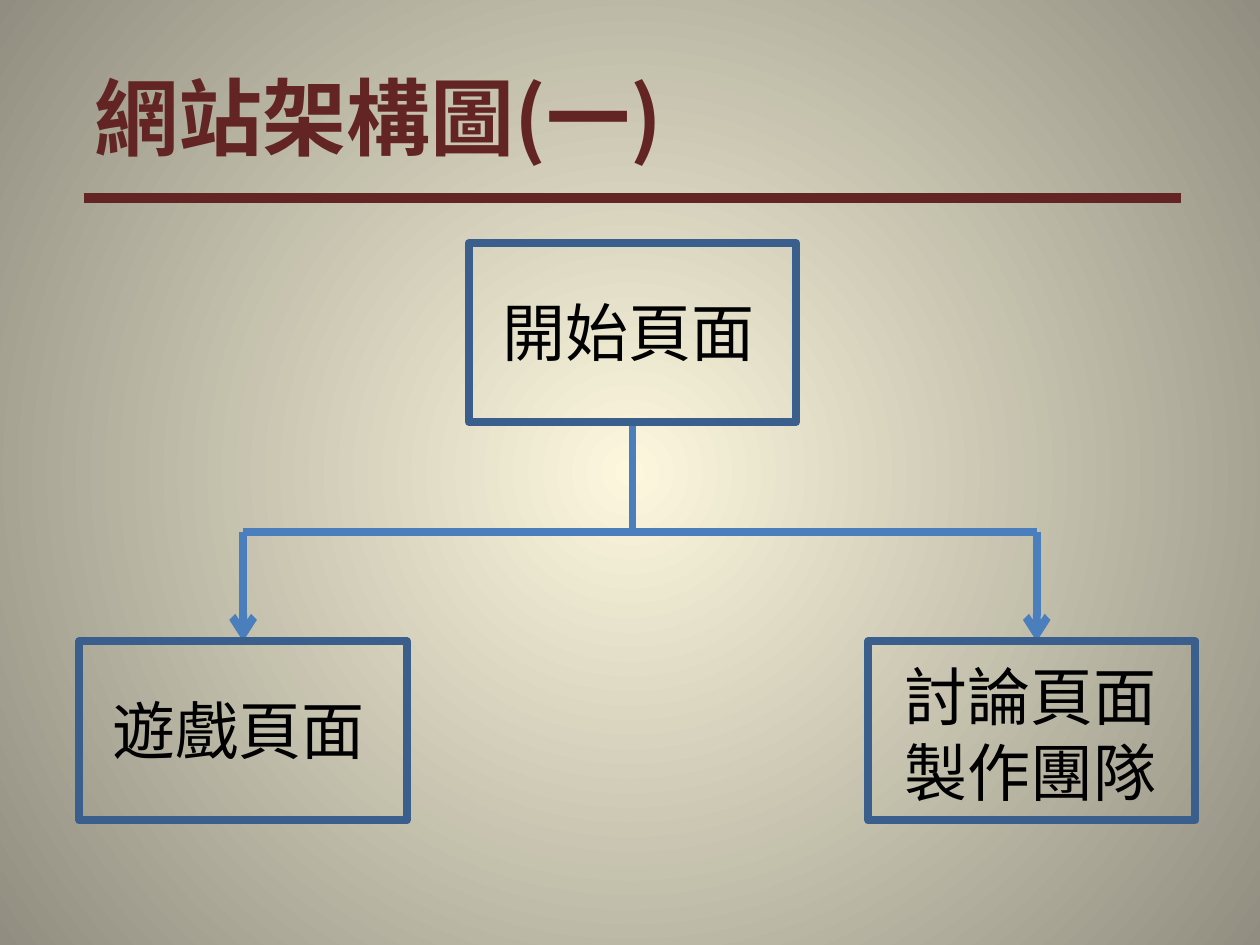
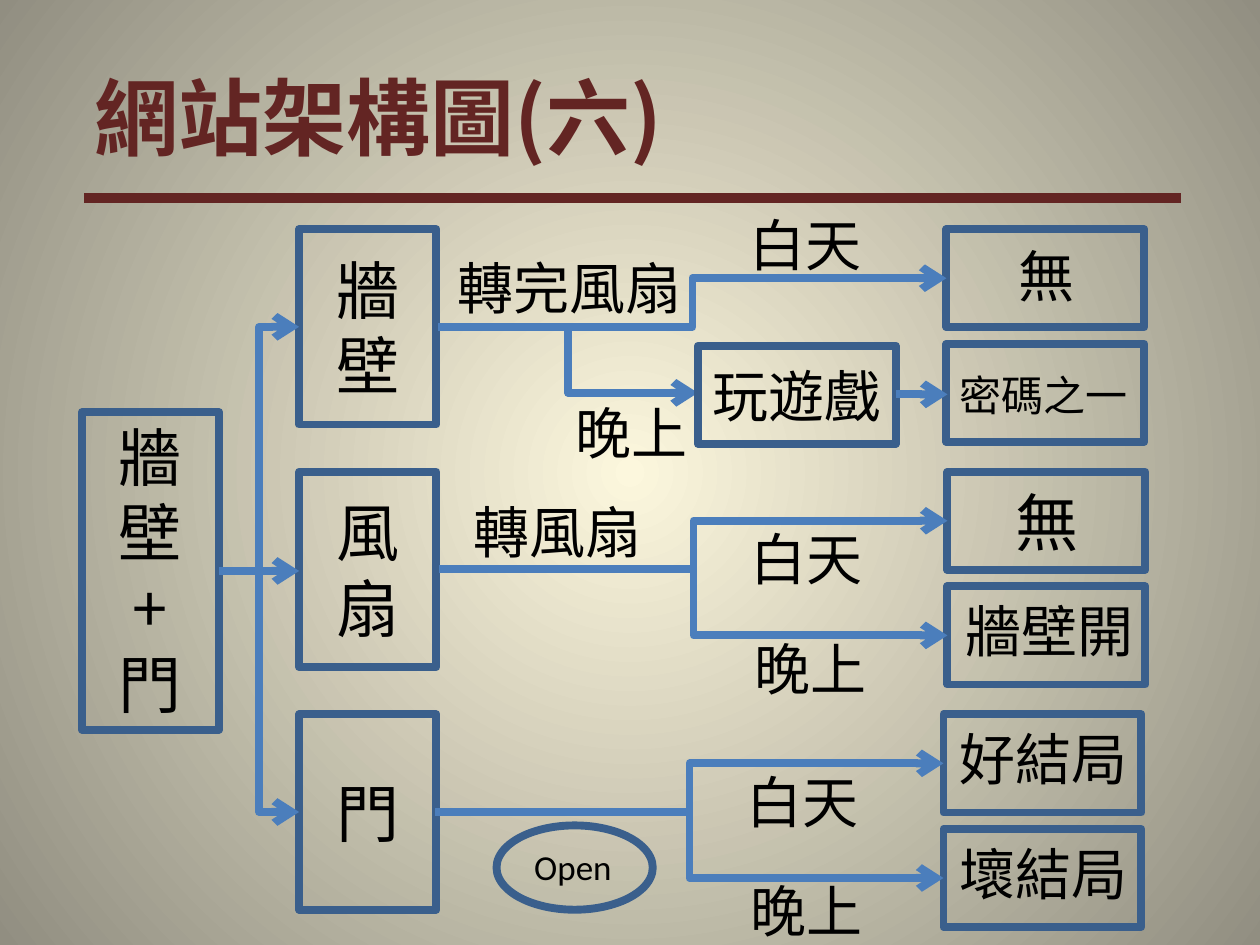
from dataclasses import dataclass

from pptx import Presentation
from pptx.dml.color import RGBColor
from pptx.enum.shapes import MSO_CONNECTOR as Link, MSO_SHAPE as Form
from pptx.enum.text import MSO_ANCHOR as Anchor, MSO_AUTO_SIZE as Fit, PP_ALIGN as Align
from pptx.oxml import parse_xml
from pptx.oxml.ns import nsdecls
from pptx.shapes.base import BaseShape
from pptx.slide import Slide
from pptx.util import Cm, Pt

GLOW = RGBColor(0xFC, 0xF7, 0xDD)
EDGE = RGBColor(0x91, 0x8E, 0x81)
WINE = RGBColor(0x63, 0x25, 0x23)
FRAME = RGBColor(0x3A, 0x5F, 0x8C)
WIRE = RGBColor(0x4B, 0x7E, 0xBC)
BLACK = RGBColor(0, 0, 0)
CJK = "Noto Sans CJK SC"
LATIN = "Calibri"

# Sizes in cm: (width, height)
PAGE = (6.6, 3.61)
STEM = (2.77, 3.94)
LEAF = (3.99, 1.98)


@dataclass
class Box:
    x: float
    y: float
    size: tuple[float, float]
    form: Form = Form.RECTANGLE


@dataclass
class Label:
    text: str
    x: float
    y: float
    width: float
    size: int = 32
    lines: int = 1
    align: Align = Align.LEFT
    font: str = CJK
    color: RGBColor = BLACK
    bold: bool = False


@dataclass
class Wire:
    x1: float
    y1: float
    x2: float
    y2: float
    kind: Link = Link.STRAIGHT
    arrow: bool = True
    color: RGBColor = WIRE
    width: float = 4.5


@dataclass
class Row:
    stem: str
    leaf_x: float


def node(tag: str, attrs: str = "", inner: str = ""):
    return parse_xml(f"<a:{tag} {nsdecls('a')} {attrs}>{inner}</a:{tag}>")


def high(size: int, lines: int = 1) -> float:
    """Height in cm of a text box that fits its lines."""
    return round((size * 1.2 * lines + 7.2) * 2.54 / 72, 2)


def write(shape: BaseShape, label: Label) -> None:
    place = {"left": Cm(label.x), "top": Cm(label.y), "width": Cm(label.width),
             "height": Cm(high(label.size, label.lines))}
    frame = {"word_wrap": True, "auto_size": Fit.SHAPE_TO_FIT_TEXT,
             "vertical_anchor": Anchor.TOP}
    face = {"size": Pt(label.size), "bold": label.bold, "name": label.font}
    para = shape.text_frame.paragraphs[0]
    run = para.add_run()
    run.text = label.text
    para.alignment = label.align
    for part, values in ((shape, place), (shape.text_frame, frame), (run.font, face)):
        for name, value in values.items():
            setattr(part, name, value)
    run.font.color.rgb = label.color
    for props in shape.element.xpath(".//a:rPr"):
        props.append(node("ea", f'typeface="{label.font}"'))


def put_label(slide: Slide, label: Label) -> None:
    write(slide.shapes.add_textbox(0, 0, Cm(1), Cm(1)), label)


def put_box(slide: Slide, box: Box) -> None:
    shape = slide.shapes.add_shape(box.form, Cm(box.x), Cm(box.y), *map(Cm, box.size))
    shape.shadow.inherit = False
    shape.fill.background()
    shape.line.color.rgb = FRAME
    shape.line.width = Pt(4.5)


def put_wire(slide: Slide, wire: Wire) -> None:
    ends = map(Cm, (wire.x1, wire.y1, wire.x2, wire.y2))
    link = slide.shapes.add_connector(wire.kind, *ends)
    link.line.color.rgb = wire.color
    link.line.width = Pt(wire.width)
    line = link.element.xpath(".//a:ln")[0]
    if wire.arrow:
        line.append(node("tailEnd", 'type="arrow"'))
    line.addnext(node("effectLst"))


def draw(slide: Slide, *parts: Box | Label | Wire) -> None:
    tools = {Box: put_box, Label: put_label, Wire: put_wire}
    for part in parts:
        tools[type(part)](slide, part)


def start(deck, title: str, width: float) -> Slide:
    """Add a slide with the glowing ground, the title and its rule."""
    slide = deck.slides.add_slide(deck.slide_layouts[5])
    fill = slide.background.fill
    fill.gradient()
    for stop, color in zip(fill.gradient_stops, (GLOW, EDGE)):
        stop.color.rgb = color
    lin = slide.element.xpath(".//a:lin")[0]
    centre = node("fillToRect", 'l="50000" t="50000" r="50000" b="50000"')
    round_ = node("path", 'path="circle"')
    round_.append(centre)
    lin.getparent().replace(lin, round_)

    draw(slide, Wire(1.7, 3.99, 23.8, 3.99, arrow=False, color=WINE, width=6))
    write(slide.shapes.title,
          Label(title, 1.65, 1.19, width, 48, color=WINE, bold=True))
    return slide


def site(deck) -> None:
    slide = start(deck, "網站架構圖(一)", 14.86)
    left, mid, right = 4.9, 12.75, 20.9
    fork, low = 10.72, 12.93
    # Tree lines
    draw(slide, Wire(left, fork, right, fork, arrow=False),
         Wire(mid, 8.51, mid, fork, arrow=False))
    for x in (left, right):
        draw(slide, Wire(x, fork, x, low))
    # Pages
    for x, y in ((9.45, 4.9), (1.6, low), (17.5, low)):
        draw(slide, Box(x, y, PAGE))
    draw(slide,
         Label(" 開始頁面", 9.6, 5.79, 6.32, 36),
         Label(" 遊戲頁面", 1.73, 13.82, 6.32, 36),
         Label("討論頁面製作團隊", 17.98, 13.13, 6.32, 36, 2))


def rooms(deck) -> None:
    slide = start(deck, "網站架構圖(六)", 14.05)
    mid = 11.51
    # Root
    draw(slide, Box(1.65, 8.31, (2.77, 6.4)),
         Label("牆壁+門", 1.85, 8.31, 2.36, 36, 4, Align.CENTER))

    # Each row: stem, two leaves, and the wires between
    rows = (Row("牆壁", 19.08), Row("風扇", 19.1), Row("門", 19.02))
    for i, row in enumerate(rows):
        top = 4.62 + 4.89 * i
        axis = top + STEM[1] / 2
        lines = len(row.stem)
        draw(slide, Box(6.03, top, STEM),
             Label(row.stem, 6.24, axis - high(36, lines) / 2, 2.36, 36, lines,
                   Align.CENTER),
             Wire(4.42, mid, 6.03, mid if i == 1 else axis,
                  Link.STRAIGHT if i == 1 else Link.ELBOW))
        x = row.leaf_x
        for drop in (0, 2.31):
            # The first row's lower wire leads to the game box
            end = 14.07 if i == 0 and drop else x
            draw(slide, Box(x, top + drop, LEAF),
                 Wire(x - 10.24, axis, end, top + drop + LEAF[1] / 2, Link.ELBOW))
        if i:
            draw(slide, Label("白天", x - 4.22, top + 0.94, 2.95),
                 Label("晚上", x - 4.14, top + 3.15, 2.95))

    # Game box and the hint
    draw(slide, Box(14.07, 6.97, LEAF), Wire(18.06, 7.95, 19.1, 7.95),
         Box(10.01, 16.64, (3.15, 1.7), Form.OVAL),
         Label(" Open", 10.36, 16.92, 2.79, 20, font=LATIN))
    # Steps and outcomes
    draw(slide,
         Label("白天", 14.86, 4.11, 2.95),
         Label("晚上", 11.35, 7.9, 2.95),
         Label("轉完風扇", 8.97, 4.98, 5.03),
         Label("轉風扇", 9.3, 9.91, 4.32),
         Label("玩遊戲", 13.28, 7.16, 5.56, align=Align.CENTER),
         Label("無", 18.52, 4.75, 5.16, align=Align.CENTER),
         Label("密碼之一", 19.1, 7.32, 4.42, 24),
         Label("無", 19.18, 9.63, 3.86, 36, align=Align.CENTER),
         Label("牆壁開", 18.49, 11.91, 5.33, align=Align.CENTER),
         Label("好結局", 19.1, 14.48, 5.99),
         Label("壞結局", 19.1, 16.79, 5.59))


def main() -> None:
    deck = Presentation()
    deck.slide_width, deck.slide_height = Cm(25.4), Cm(19.05)
    site(deck)
    rooms(deck)
    deck.save("out.pptx")


if __name__ == "__main__":
    main()
